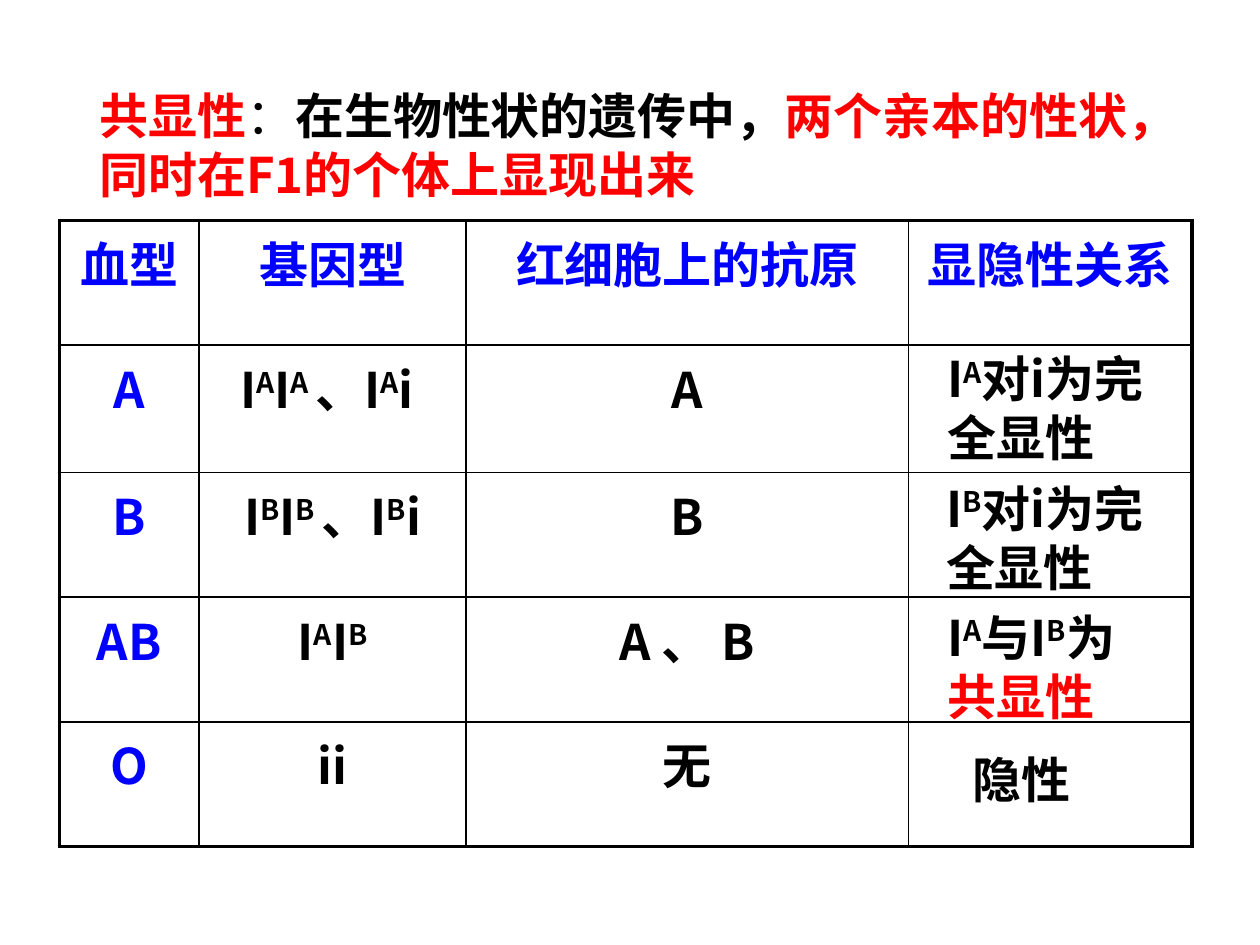
from lxml.etree import SubElement
from pptx import Presentation
from pptx.dml.color import RGBColor
from pptx.enum.text import MSO_ANCHOR, MSO_AUTO_SIZE, PP_ALIGN
from pptx.oxml.ns import qn
from pptx.util import Inches, Pt

BLACK, BLUE, RED = "000000", "0000FF", "FF0000"


def colour(value):
    return RGBColor.from_string(value)


def span(text, ink=BLACK, raised=False, bold=True):
    return text, ink, raised, bold


def allele(letter):
    return [span("I"), span(letter, raised=True)]


class Sheet:
    """Style and current slide; lengths are cells of a 100 by 75 grid."""

    font, size, unit = "Noto Sans CJK SC", 28, 0.1
    thin, thick = 1, 2.25

    def __init__(self, deck):
        deck.slide_width, deck.slide_height = self.length(100), self.length(75)
        self.slide = deck.slides.add_slide(deck.slide_layouts[5])

    def length(self, cells):
        return Inches(cells * self.unit)

    def add_spans(self, frame, spans, align=PP_ALIGN.LEFT, before=5.6):
        para = frame.paragraphs[0]
        para.alignment, para.space_before = align, Pt(before)
        for text, ink, raised, bold in spans:
            run = para.add_run()
            run.text = text
            run.font.size, run.font.bold = Pt(self.size), bold
            run.font.name = self.font
            run.font.color.rgb = colour(ink)
            props = run._r.get_or_add_rPr()
            SubElement(props, qn("a:ea"), typeface=self.font)
            if raised:
                props.set("baseline", "30000")

    def place(self, box, at, spans, before):
        box.left, box.top, box.width, box.height = map(self.length, at)
        frame = box.text_frame
        frame.word_wrap = True
        frame.auto_size = MSO_AUTO_SIZE.SHAPE_TO_FIT_TEXT
        frame.vertical_anchor = MSO_ANCHOR.TOP
        self.add_spans(frame, spans, before=before)

    def title(self, at, spans):
        self.place(self.slide.shapes.title, at, spans, before=0)

    def text(self, at, spans):
        box = self.slide.shapes.add_textbox(*map(self.length, at))
        self.place(box, at, spans, before=5.6)

    def border(self, cell, widths):
        props = cell._tc.get_or_add_tcPr()
        for place, (side, width) in enumerate(widths.items()):
            line = SubElement(props, qn(f"a:ln{side}"), w=str(int(Pt(width))))
            fill = SubElement(line, qn("a:solidFill"))
            SubElement(fill, qn("a:srgbClr"), val=BLACK)
            props.insert(place, line)

    def table(self, left, top, columns, rows, content):
        table = self.slide.shapes.add_table(
            len(rows), len(columns), self.length(left), self.length(top),
            self.length(sum(columns)), self.length(sum(rows))).table
        for column, width in zip(table.columns, columns):
            column.width = self.length(width)
        for row, height in zip(table.rows, rows):
            row.height = self.length(height)
        last_row, last_column = len(rows) - 1, len(columns) - 1
        for r, line in enumerate(content):
            for c, spans in enumerate(line):
                cell = table.cell(r, c)
                cell.fill.background()
                outer = {"L": c == 0, "R": c == last_column,
                         "T": r == 0, "B": r == last_row}
                self.border(cell, {side: self.thick if edge else self.thin
                                   for side, edge in outer.items()})
                self.add_spans(cell.text_frame, spans, PP_ALIGN.CENTER)


def main():
    deck = Presentation()
    sheet = Sheet(deck)

    # Definition
    sheet.title((6.9, 6.3, 87.8, 10.4), [
        span("共显性", RED), span("：", bold=False), span("在生物性状的遗传中，"),
        span("两个亲本的性状，同时在F1的个体上显现出来", RED)])

    # Blood groups, genotypes and antigens
    headings = ["血型", "基因型", "红细胞上的抗原", "显隐性关系"]
    genotypes = {
        "A": allele("A") + [span("I"), span("A ", raised=True), span("、")]
        + allele("A") + [span("i ")],
        "B": allele("B") + [span("I"), span("B ", raised=True), span("、")]
        + allele("B") + [span("i")],
        "AB": allele("A") + allele("B"),
        "O": [span("ii")],
    }
    antigens = {"A": "A", "B": "B", "AB": "A 、 B", "O": "无"}
    content = [[[span(heading, BLUE)] for heading in headings]]
    for group, genotype in genotypes.items():
        content.append([[span(group, BLUE)], genotype, [span(antigens[group])], []])
    sheet.table(4.7, 17.5, [11.1, 21.2, 35.1, 22.5],
                [9.9, 10.1, 9.9, 9.9, 9.9], content)

    # Dominance notes over the last column
    complete = [span("对i为完全显性")]
    sheet.text((74.2, 27.2, 18.9, 10.3), allele("A") + complete)
    sheet.text((74.1, 37.5, 20.5, 10.3), allele("B") + complete)
    sheet.text((74.2, 47.7, 18.9, 10.3),
               allele("A") + [span("与")] + allele("B")
               + [span("为"), span("共显性", RED)])
    sheet.text((76.2, 59, 12.4, 6), [span("隐性")])

    deck.save("out.pptx")


if __name__ == "__main__":
    main()
